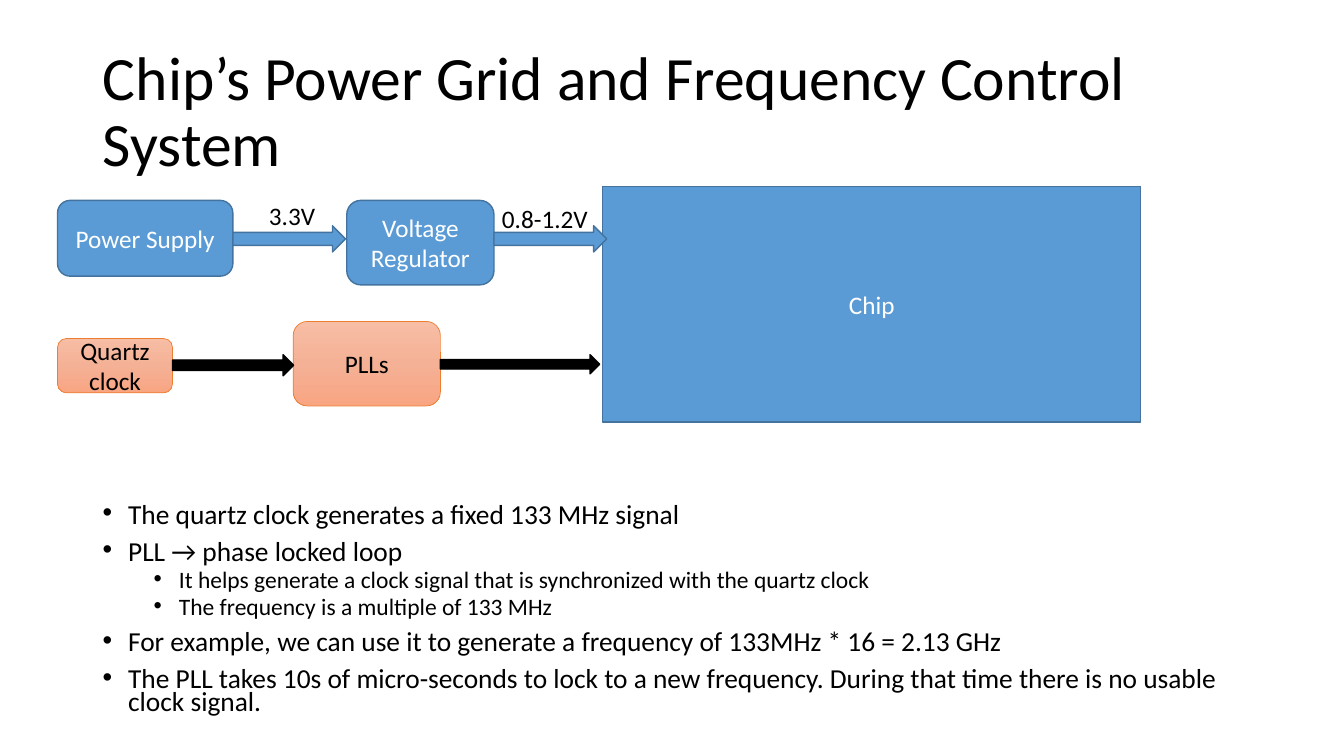
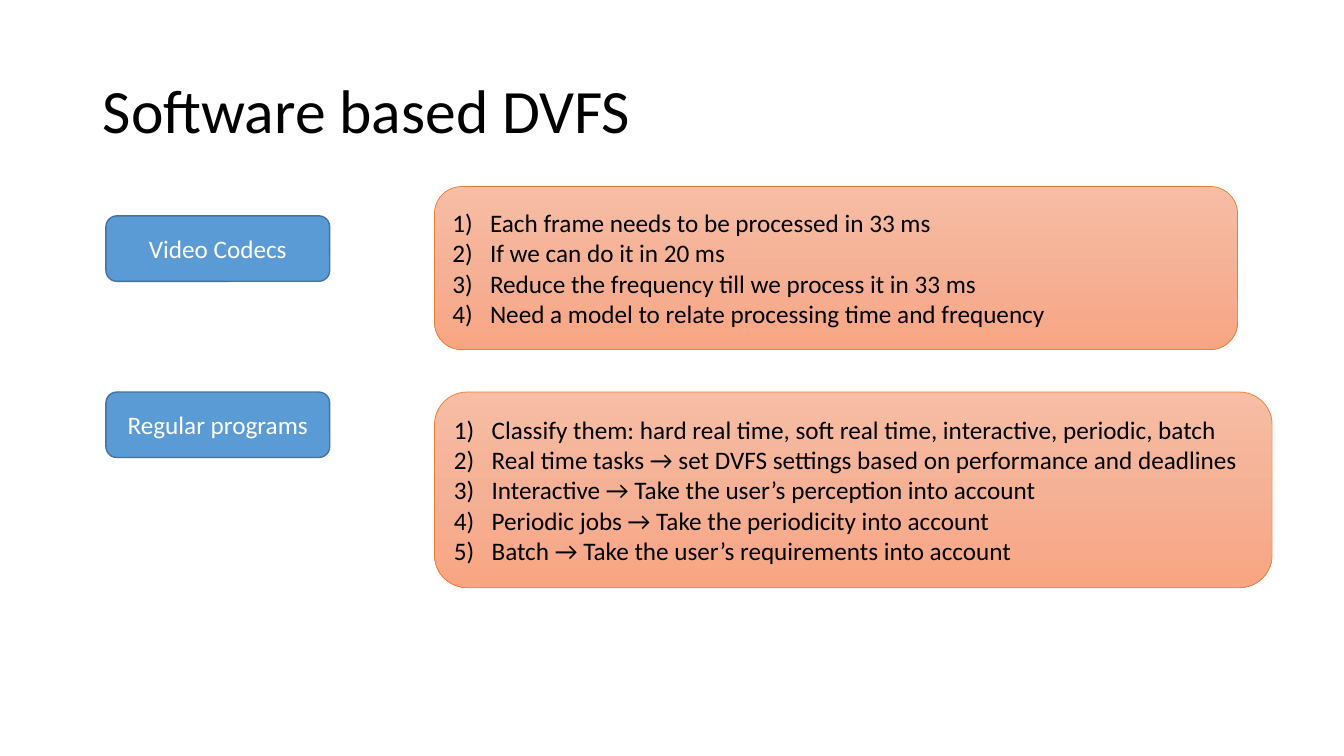
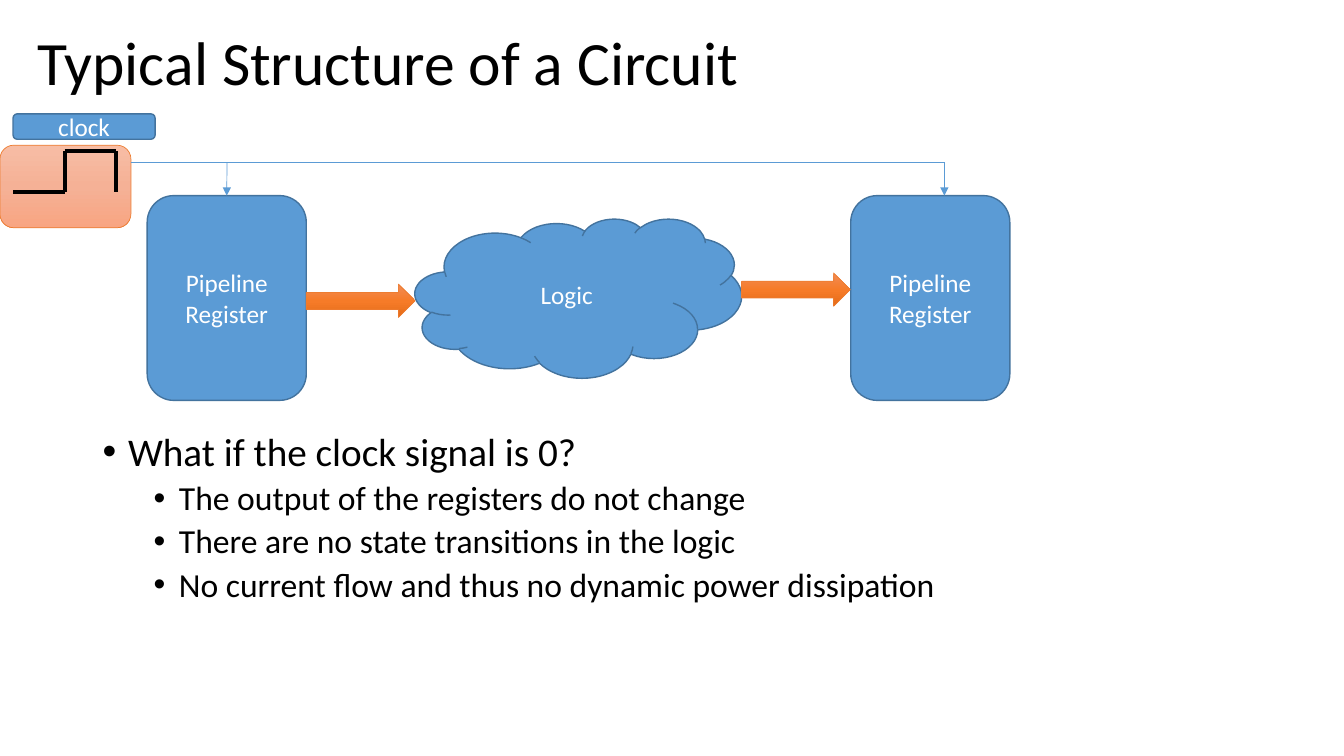
from copy import deepcopy

from lxml import etree
from pptx import Presentation
from pptx.dml.color import RGBColor
from pptx.enum.shapes import MSO_CONNECTOR, MSO_SHAPE
from pptx.enum.text import MSO_ANCHOR, MSO_AUTO_SIZE, PP_ALIGN
from pptx.oxml.ns import qn
from pptx.util import Cm, Pt

RECTANGLE = MSO_SHAPE.RECTANGLE
ROUNDED = MSO_SHAPE.ROUNDED_RECTANGLE
CLOUD = MSO_SHAPE.CLOUD
RIGHT_ARROW = MSO_SHAPE.RIGHT_ARROW
STRAIGHT = MSO_CONNECTOR.STRAIGHT
LEFT, CENTER = PP_ALIGN.LEFT, PP_ALIGN.CENTER
TOP, MIDDLE = MSO_ANCHOR.TOP, MSO_ANCHOR.MIDDLE
NO_AUTOFIT = MSO_AUTO_SIZE.NONE

BLACK = RGBColor(0x00, 0x00, 0x00)
WHITE = RGBColor(0xFF, 0xFF, 0xFF)
BLUE = RGBColor(0x5B, 0x9B, 0xD5)
DARK_BLUE = RGBColor(0x43, 0x73, 0x9E)
ORANGE = RGBColor(0xED, 0x7D, 0x31)
PEACH_STOPS = (RGBColor(0xF7, 0xBD, 0xA5), RGBColor(0xF5, 0xB1, 0x96),
               RGBColor(0xF8, 0xA5, 0x82))
ORANGE_STOPS = (RGBColor(0xF1, 0x8C, 0x57), RGBColor(0xF6, 0x7B, 0x28),
                RGBColor(0xE5, 0x6C, 0x19))

# Each style: fill (one colour or three gradient stops), line, line width, text
BLUE_STYLE = (BLUE, DARK_BLUE, 1, WHITE)
PEACH_STYLE = (PEACH_STOPS, ORANGE, 0.5, BLACK)
ORANGE_STYLE = (ORANGE_STOPS, ORANGE, 0.5, BLACK)
BLACK_STYLE = (BLACK, BLACK, 1, WHITE)

FONT = "Calibri"
TITLE_BOX = (2.34, 1.02, 29.21, 3.68)
BULLET_INDENT = 0.64
NUMBER_INDENT = 0.95


# Text
def add_bullet(paragraph, margin, indent, tag, **attributes):
    properties = paragraph._p.get_or_add_pPr()
    properties.set("marL", str(Cm(margin)))
    properties.set("indent", str(-Cm(indent)))
    etree.SubElement(properties, qn("a:buFont"), typeface="Arial" if tag == "a:buChar" else "+mj-lt")
    etree.SubElement(properties, qn(tag), **attributes)


def write_text(shape, lines, sizes=(18,), color=BLACK, align=LEFT, anchor=MIDDLE,
               spacing=None, bullet=None, wrap=True):
    """Write lines, each a string or a (level, string) pair."""
    frame = shape.text_frame
    frame.word_wrap = wrap
    frame.auto_size = NO_AUTOFIT
    frame.vertical_anchor = anchor
    if isinstance(lines, str):
        lines = [lines]
    for index, line in enumerate(lines):
        level, text = (0, line) if isinstance(line, str) else line
        paragraph = frame.paragraphs[0] if index == 0 else frame.add_paragraph()
        paragraph.alignment = align
        if spacing:
            paragraph.line_spacing = spacing
        if bullet == "dot":
            paragraph.level = level
            paragraph.space_before = Pt(0 if index == 0 else 5 if level else 10)
            add_bullet(paragraph, BULLET_INDENT * (1 + 2 * level), BULLET_INDENT,
                       "a:buChar", char="•")
        elif bullet == "number":
            add_bullet(paragraph, NUMBER_INDENT, NUMBER_INDENT,
                       "a:buAutoNum", type="arabicParenR")
        run = paragraph.add_run()
        run.text = text
        run.font.name = FONT
        run.font.size = Pt(sizes[level])
        run.font.color.rgb = color


def add_text_box(slide, box, lines, **text_format):
    shape = slide.shapes.add_textbox(*map(Cm, box))
    write_text(shape, lines, anchor=TOP, **text_format)


def add_titled_slide(presentation, title, box=TITLE_BOX):
    slide = presentation.slides.add_slide(presentation.slide_layouts[5])
    shape = slide.shapes.title
    shape.left, shape.top, shape.width, shape.height = map(Cm, box)
    write_text(shape, title, sizes=(44,), spacing=0.9)
    return slide


# Shapes and lines
def fill_gradient(shape, colors):
    shape.fill.gradient()
    shape.fill.gradient_angle = 270
    stop_list = shape._element.spPr.find(".//" + qn("a:gsLst"))
    stop_list.insert(1, deepcopy(stop_list[0]))
    for stop, color, position in zip(shape.fill.gradient_stops, colors, (0, 0.5, 1)):
        stop.color.rgb = color
        stop.position = position


def add_block(slide, kind, box, style, lines=None, **text_format):
    fill, line, width, text_color = style
    shape = slide.shapes.add_shape(kind, *map(Cm, box))
    shape.shadow.inherit = False
    if isinstance(fill, RGBColor):
        shape.fill.solid()
        shape.fill.fore_color.rgb = fill
    else:
        fill_gradient(shape, fill)
    shape.line.color.rgb = line
    shape.line.width = Pt(width)
    if lines:
        write_text(shape, lines, color=text_color, **{"align": CENTER, **text_format})
    return shape


def add_line(shapes, start, end, color, width, arrow=False):
    connector = shapes.add_connector(STRAIGHT, *map(Cm, (*start, *end)))
    connector.line.color.rgb = color
    connector.line.width = Pt(width)
    if arrow:
        etree.SubElement(connector.line._get_or_add_ln(), qn("a:tailEnd"), type="triangle")
    etree.SubElement(connector._element.spPr, qn("a:effectLst"))
    return connector


# Slide 1 regions
def draw_power_row(slide, left, top):
    add_block(slide, ROUNDED, (left, top, 4.42, 1.91), BLUE_STYLE, "Power Supply")
    add_block(slide, ROUNDED, (left + 7.29, top, 3.71, 2.13), BLUE_STYLE, "Voltage Regulator")
    for offset in (4.42, 11):
        add_block(slide, RIGHT_ARROW, (left + offset, top + 0.64, 2.84, 0.66), BLUE_STYLE)
    add_text_box(slide, (left + 5.08, top - 0.12, 1.68, 1.02), "3.3V", wrap=False)
    add_text_box(slide, (left + 10.95, top - 0.05, 2.69, 1.02), "0.8-1.2V", wrap=False)


def draw_clock_row(slide, left, top):
    add_block(slide, ROUNDED, (left, top + 0.43, 2.9, 1.37), PEACH_STYLE, "Quartz clock")
    add_block(slide, ROUNDED, (left + 5.94, top, 3.71, 2.13), PEACH_STYLE, "PLLs")
    add_block(slide, RIGHT_ARROW, (left + 2.9, top + 0.84, 3.05, 0.53), BLACK_STYLE)
    add_block(slide, RIGHT_ARROW, (left + 9.65, top + 0.84, 4.01, 0.48), BLACK_STYLE)


def build_power_slide(presentation):
    slide = add_titled_slide(presentation, "Chip’s Power Grid and Frequency Control System")
    add_block(slide, RECTANGLE, (15.19, 4.7, 13.56, 5.94), BLUE_STYLE, "Chip")
    draw_power_row(slide, 1.45, 5.05)
    draw_clock_row(slide, 1.45, 8.1)
    add_text_box(slide, (2.34, 12.62, 29.21, 5.92), [
        "The quartz clock generates a fixed 133 MHz signal",
        "PLL → phase locked loop",
        (1, "It helps generate a clock signal that is synchronized with the quartz clock"),
        (1, "The frequency is a multiple of 133 MHz"),
        "For example, we can use it to generate a frequency of 133MHz * 16 = 2.13 GHz",
        "The PLL takes 10s of micro-seconds to lock to a new frequency. "
        "During that time there is no usable clock signal.",
    ], sizes=(19.6, 16.8), spacing=0.7, bullet="dot")


# Slide 2 regions
def draw_policy(slide, box, label, label_offset, steps):
    """Draw a numbered panel in the box and its label to the left."""
    left, top = box[:2]
    add_block(slide, ROUNDED, (left - 8.28, top + label_offset, 5.64, 1.65), BLUE_STYLE, label)
    add_block(slide, ROUNDED, box, PEACH_STYLE, steps, align=LEFT, bullet="number")


def build_software_slide(presentation):
    slide = add_titled_slide(presentation, "Software based DVFS")
    draw_policy(slide, (10.95, 4.7, 20.24, 4.11), "Video Codecs", 0.74, [
        "Each frame needs to be processed in 33 ms",
        "If we can do it in 20 ms",
        "Reduce the frequency till we process it in 33 ms",
        "Need a model to relate processing time and frequency",
    ])
    draw_policy(slide, (10.95, 9.88, 21.11, 4.93), "Regular programs", 0, [
        "Classify them: hard real time, soft real time, interactive, periodic, batch",
        "Real time tasks → set DVFS settings based on performance and deadlines",
        "Interactive → Take the user’s perception into account",
        "Periodic jobs → Take the periodicity into account",
        "Batch → Take the user’s requirements into account",
    ])


# Slide 3 regions
def draw_clock_source(slide, left, top):
    add_block(slide, ROUNDED, (left, top, 3.3, 2.08), PEACH_STYLE)
    low, high = top + 1.17, top + 0.15
    rise, fall = left + 1.63, left + 2.92
    wave = [(left + 0.33, low), (rise, low), (rise, high), (fall, high), (fall, low)]
    group = slide.shapes.add_group_shape()
    for start, end in zip(wave, wave[1:]):
        add_line(group.shapes, start, end, BLACK, 3)
    add_block(slide, ROUNDED, (left + 0.33, top - 0.79, 3.58, 0.64), BLUE_STYLE, "clock")


def draw_pipeline(slide, left, top):
    """Draw two registers around the logic and return the first register."""
    registers = [add_block(slide, ROUNDED, (left + offset, top, 4.01, 5.16),
                           BLUE_STYLE, "Pipeline Register") for offset in (0, 17.73)]
    add_block(slide, CLOUD, (left + 6.75, top + 0.58, 8.23, 4.01), BLUE_STYLE, "Logic")
    for across, down in ((4.01, 2.23), (14.98, 1.95)):
        add_block(slide, RIGHT_ARROW, (left + across, top + down, 2.74, 0.84), ORANGE_STYLE)
    return registers[0]


def draw_clock_wire(slide, left, top, right, bottom, first_register):
    first_tap = left + 2.42
    tap = add_line(slide.shapes, (first_tap, top), (first_tap, bottom), BLUE, 0.5, arrow=True)
    tap.end_connect(first_register, 0)
    add_line(slide.shapes, (right, top), (right, bottom), BLUE, 0.5, arrow=True)
    add_line(slide.shapes, (left, top), (right, top), BLUE, 0.5)


def build_circuit_slide(presentation):
    slide = add_titled_slide(presentation, "Typical Structure of a Circuit",
                             (0.69, -0.18, 29.21, 3.68))
    draw_clock_source(slide, 0, 3.66)
    first_register = draw_pipeline(slide, 3.71, 4.93)
    draw_clock_wire(slide, 3.3, 4.09, 23.8, 4.93, first_register)
    add_text_box(slide, (2.34, 10.77, 29.21, 6.4), [
        "What if the clock signal is 0?",
        (1, "The output of the registers do not change"),
        (1, "There are no state transitions in the logic"),
        (1, "No current flow and thus no dynamic power dissipation"),
    ], sizes=(28, 24), spacing=0.9, bullet="dot")


def main():
    presentation = Presentation()
    presentation.slide_width = Cm(33.87)
    presentation.slide_height = Cm(19.05)
    build_power_slide(presentation)
    build_software_slide(presentation)
    build_circuit_slide(presentation)
    presentation.save("out.pptx")


if __name__ == "__main__":
    main()
